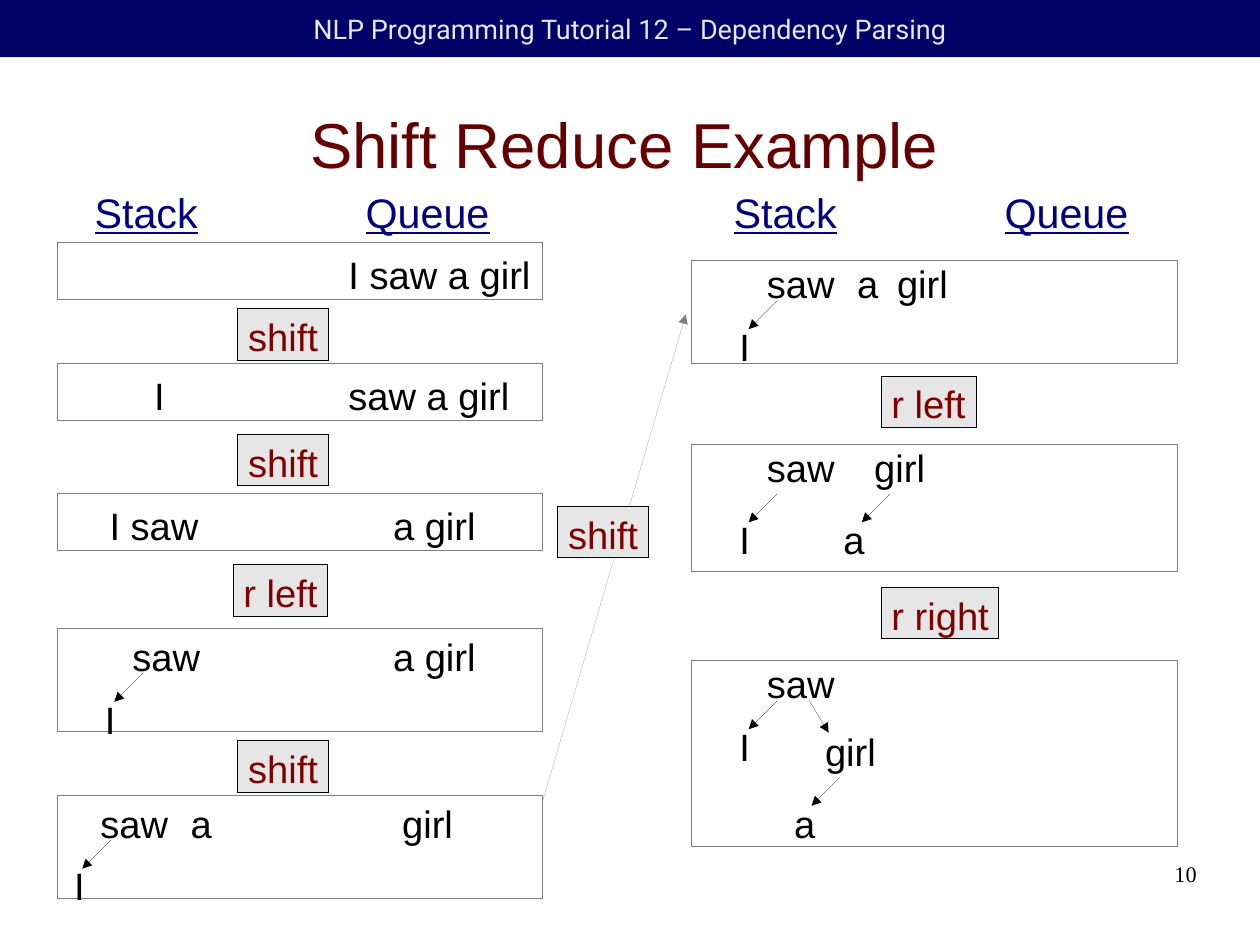
from dataclasses import dataclass

from lxml import etree
from pptx import Presentation
from pptx.dml.color import RGBColor
from pptx.enum import shapes, text
from pptx.oxml import ns
from pptx.util import Inches, Pt


@dataclass(frozen=True)
class Theme:
    navy: str = "000066"
    pale: str = "E6E6FF"
    maroon: str = "660000"
    action: str = "800000"
    heading: str = "000080"
    grey: str = "808080"
    light: str = "E6E6E6"
    black: str = "000000"
    font: str = "Arial"
    header_font: str = "Roboto"
    number_font: str = "Times New Roman"
    title_pt: int = 40
    heading_pt: int = 26
    body_pt: int = 24
    header_pt: int = 17
    number_pt: int = 14
    hairline_pt: float = 0.01


T = Theme()
LEFT, RIGHT = 0.5, 6.05
FRAME_W = 4.25

# A 28 by 21 cm page
prs = Presentation()
prs.slide_width, prs.slide_height = Inches(28 / 2.54), Inches(21 / 2.54)
s = prs.slides.add_slide(prs.slide_layouts[5])


def write(sp, words, size, color, font=T.font, inset=(0.1, 0.05),
          align=text.PP_ALIGN.LEFT, anchor=text.MSO_ANCHOR.TOP):
    """Put one formatted line of text in a shape and return its run."""
    tf = sp.text_frame
    tf.text = words
    tf.margin_left, tf.margin_right = Inches(inset[0]), 0
    tf.margin_top = tf.margin_bottom = Inches(inset[1])
    tf.vertical_anchor = anchor
    tf.word_wrap = True
    tf.auto_size = text.MSO_AUTO_SIZE.NONE
    p = tf.paragraphs[0]
    p.alignment = align
    r = p.runs[0]
    r.font.name, r.font.size = font, Pt(size)
    r.font.color.rgb = RGBColor.from_string(color)
    return r


def box(x, y, w, h, fill=None, line=None):
    """Add a plain rectangle with an optional fill and hairline."""
    sp = s.shapes.add_shape(shapes.MSO_SHAPE.RECTANGLE, Inches(x), Inches(y), Inches(w), Inches(h))
    sp.shadow.inherit = False
    if fill:
        sp.fill.solid()
        sp.fill.fore_color.rgb = RGBColor.from_string(fill)
    else:
        sp.fill.background()
    if line:
        sp.line.color.rgb = RGBColor.from_string(line)
        sp.line.width = Pt(T.hairline_pt)
    else:
        sp.line.fill.background()
    return sp


# Header bar
bar = box(0, 0, 28 / 2.54, 0.5, fill=T.navy)
write(bar, "NLP Programming Tutorial 12 – Dependency Parsing", T.header_pt, T.pale,
      T.header_font, (0, 0.05), text.PP_ALIGN.CENTER, text.MSO_ANCHOR.MIDDLE)

# Title
title = s.shapes.title
title.left, title.top = Inches(0.5), Inches(0.62)
title.width, title.height = Inches(9.92), Inches(1.27)
write(title, "Shift Reduce Example", T.title_pt, T.maroon, inset=(0, 0),
      align=text.PP_ALIGN.CENTER, anchor=text.MSO_ANCHOR.MIDDLE)

# Column headings
for x in (0.73, 6.32):
    for heading, dx, w in (("Stack", 0, 1.1), ("Queue", 2.37, 1.29)):
        sp = s.shapes.add_textbox(Inches(x + dx), Inches(1.59), Inches(w), Inches(0.5))
        r = write(sp, heading, T.heading_pt, T.heading)
        r.font.underline = True

# Parser states: frame (x, y, height), then the words in it (text, x, y)
states = [
    ((LEFT, 2.12, 0.5), [("I saw a girl", 2.95, 2.15)]),
    ((LEFT, 3.18, 0.5), [("I", 1.25, 3.21), ("saw a girl", 2.95, 3.21)]),
    ((LEFT, 4.32, 0.5), [("I saw", 0.86, 4.35), ("a girl", 3.34, 4.35)]),
    ((LEFT, 5.5, 0.9), [("saw", 1.06, 5.49), ("I", 0.82, 6.04), ("a girl", 3.34, 5.49)]),
    ((LEFT, 6.96, 0.9), [("saw", 0.78, 6.95), ("a", 1.57, 6.95),
                         ("I", 0.55, 7.5), ("girl", 3.42, 6.95)]),
    ((RIGHT, 2.28, 0.9), [("saw", 6.61, 2.23), ("a", 7.4, 2.23),
                          ("girl", 7.75, 2.23), ("I", 6.37, 2.78)]),
    ((RIGHT, 3.89, 1.11), [("saw", 6.61, 3.84), ("girl", 7.55, 3.84),
                           ("I", 6.37, 4.47), ("a", 7.28, 4.47)]),
    ((RIGHT, 5.78, 1.63), [("saw", 6.61, 5.73), ("I", 6.37, 6.28),
                           ("girl", 7.12, 6.32), ("a", 6.85, 6.95)]),
]
word_w = {"I": 0.29, "a": 0.38, "saw": 0.79, "girl": 0.91, "a girl": 0.92,
          "I saw": 0.98, "saw a girl": 1.66, "I saw a girl": 1.79}
for (x, y, h), words in states:
    box(x, y, FRAME_W, h, line=T.grey)
    for word, wx, wy in words:
        sp = s.shapes.add_textbox(Inches(wx), Inches(wy), Inches(word_w[word]), Inches(0.47))
        write(sp, word, T.body_pt, T.black)

# Dependency arrows to left children, one to a right child, and the link between columns
heads = [(1.25, 5.89), (0.97, 7.35), (6.8, 2.63), (6.8, 4.32),
         (7.79, 4.32), (6.8, 6.13), (7.35, 6.8)]
arrows = [(x, y, x - 0.25, y + 0.25, T.black) for x, y in heads]
arrows += [(7.08, 6.13, 7.25, 6.41, T.black), (4.75, 7, 6, 2.75, T.grey)]
for x1, y1, x2, y2, color in arrows:
    c = s.shapes.add_connector(shapes.MSO_CONNECTOR.STRAIGHT,
                               Inches(x1), Inches(y1), Inches(x2), Inches(y2))
    c.line.color.rgb = RGBColor.from_string(color)
    c.line.width = Pt(T.hairline_pt)
    ln = c._element.spPr.find(ns.qn("a:ln"))
    etree.SubElement(ln, ns.qn("a:tailEnd"), type="triangle")
    etree.SubElement(c._element.spPr, ns.qn("a:effectLst"))

# Action labels
action_w = {"shift": 0.79, "r left": 0.83, "r right": 1.03}
actions = [("shift", 2.08, 2.7), ("shift", 2.08, 3.8), ("r left", 2.04, 4.94),
           ("shift", 2.08, 6.48), ("shift", 4.88, 4.43),
           ("r left", 7.71, 3.29), ("r right", 7.71, 5.14)]
for action, x, y in actions:
    sp = box(x, y, action_w[action], 0.45, fill=T.light, line=T.black)
    write(sp, action, T.body_pt, T.action, inset=(0.09, 0.04))

# Slide number
sp = s.shapes.add_textbox(Inches(7.9), Inches(7.53), Inches(2.57), Inches(0.57))
write(sp, "10", T.number_pt, T.black, T.number_font, (0, 0), text.PP_ALIGN.RIGHT)

prs.save("out.pptx")
